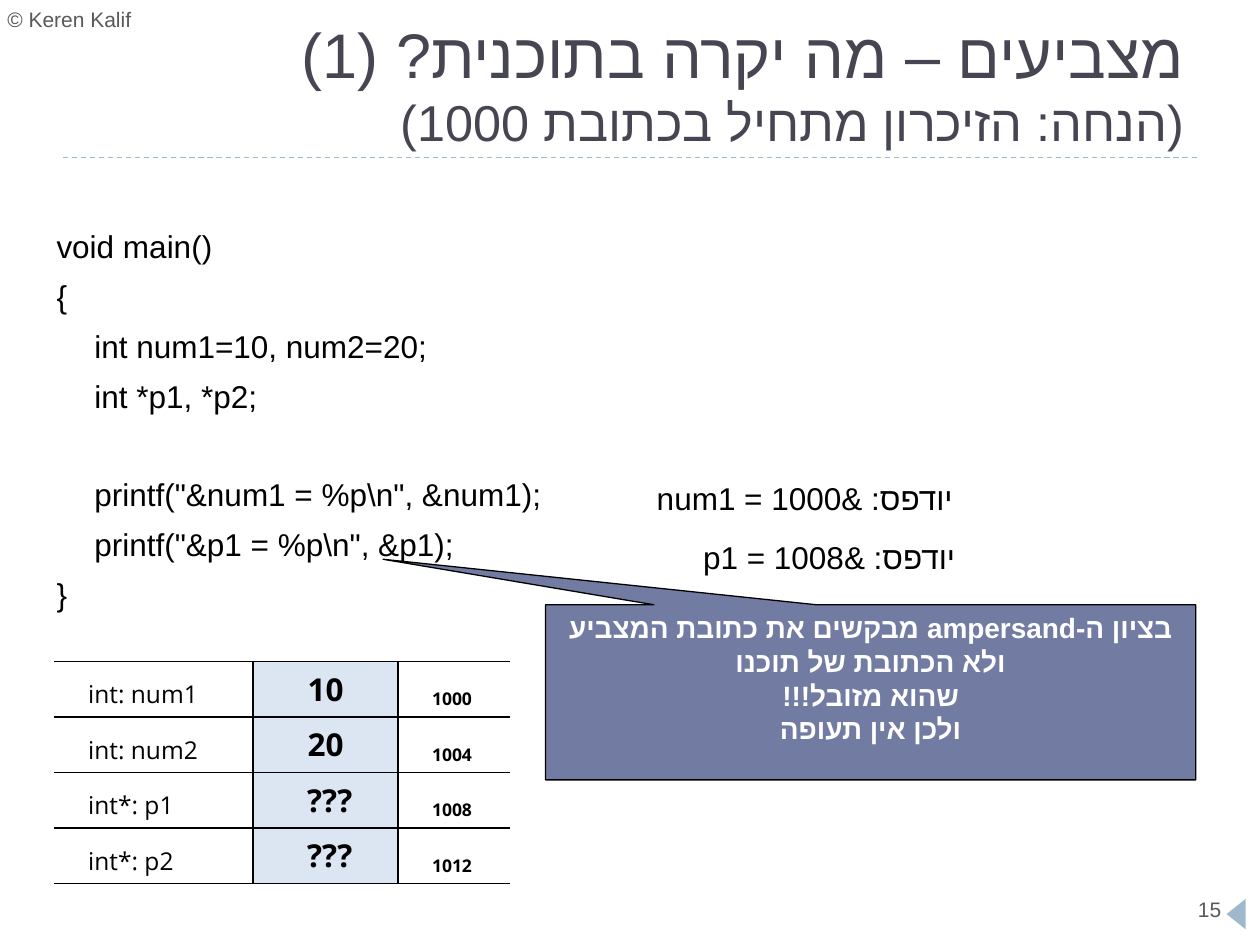
import pptx
import pptx.util
import pptx.dml.color
import pptx.enum.shapes
import pptx.enum.text
import pptx.oxml.ns
import lxml.etree

WIDE, HIGH = 10, 7.5
Pt = pptx.util.Pt
Kind = pptx.enum.shapes.MSO_SHAPE
Side = pptx.enum.text.PP_ALIGN
Hold = pptx.enum.text.MSO_ANCHOR
qn = pptx.oxml.ns.qn


def paint(code):
    return pptx.dml.color.RGBColor.from_string(code)


def across(share):
    """Percent of the slide width."""
    return pptx.util.Inches(WIDE * share / 100)


def down(share):
    """Percent of the slide height."""
    return pptx.util.Inches(HIGH * share / 100)


def place(x, y, w, h):
    return across(x), down(y), across(w), down(h)


def apply(item, form):
    for name, value in form.items():
        setattr(item, name, value)


def style(run, size, color, bold=False, face="Arial"):
    apply(run.font, dict(size=Pt(size), bold=bold, name=face))
    run.font.color.rgb = paint(color)
    props = run._r.get_or_add_rPr()
    for tag in ("a:ea", "a:cs"):
        lxml.etree.SubElement(props, qn(tag), typeface=face)


def write(para, text, size, color="000000", rtl=False, form=None, **look):
    apply(para, form or {})
    if rtl:
        para._p.get_or_add_pPr().set("rtl", "1")
    run = para.add_run()
    run.text = text
    style(run, size, color, **look)


def label(slide, box, text, size, color="000000", wrap=True, **more):
    frame = slide.shapes.add_textbox(*place(*box)).text_frame
    frame.word_wrap = wrap
    write(frame.paragraphs[0], text, size, color, **more)
    return frame


def solid(slide, kind, box, color):
    shape = slide.shapes.add_shape(kind, *place(*box))
    shape.shadow.inherit = False
    shape.fill.solid()
    shape.fill.fore_color.rgb = paint(color)
    shape.line.fill.background()
    return shape


def rule(slide, left, right, y, color):
    line = slide.shapes.add_connector(
        pptx.enum.shapes.MSO_CONNECTOR.STRAIGHT,
        across(left), down(y), across(right), down(y))
    line.line.color.rgb = paint(color)
    line.line.width = Pt(0.75)
    line.line.dash_style = pptx.enum.dml.MSO_LINE.DASH
    lxml.etree.SubElement(line._element.spPr, qn("a:effectLst"))


def border(cell, sides):
    props = cell._tc.get_or_add_tcPr()
    spot = 0
    for side in "LRTB":
        line = lxml.etree.Element(qn("a:ln" + side), w=str(Pt(1)))
        if side in sides:
            fill = lxml.etree.SubElement(line, qn("a:solidFill"))
            lxml.etree.SubElement(fill, qn("a:srgbClr"), val="000000")
        else:
            lxml.etree.SubElement(line, qn("a:noFill"))
        props.insert(spot, line)
        spot += 1


def code(slide, box, lines):
    """Each line is (depth, space before, text)."""
    frame = slide.shapes.add_textbox(*place(*box)).text_frame
    frame.word_wrap = True
    for i, (depth, gap, text) in enumerate(lines):
        para = frame.add_paragraph() if i else frame.paragraphs[0]
        write(para, text, 18, form=dict(space_before=Pt(gap)))
        para._p.get_or_add_pPr().set("marL", str(across(3 * depth)))


def grid(slide, box, cols, rows):
    frame = slide.shapes.add_table(len(rows), len(cols), *place(*box))
    table = frame.table
    apply(table, dict(first_row=False, horz_banding=False))
    for col, width in zip(table.columns, cols):
        col.width = across(width)
    # Text size, bold, anchor, alignment, fill and borders by column
    looks = [(14, False, Hold.BOTTOM, Side.LEFT, None, "TRB"),
             (18, True, Hold.TOP, Side.CENTER, "DCE6F2", "LRTB"),
             (10, True, Hold.BOTTOM, Side.LEFT, None, "LTB")]
    pad = dict(margin_left=across(2.7), margin_right=across(2.7))
    for r, row in enumerate(rows):
        for c, text in enumerate(row):
            size, bold, hold, side, fill, edge = looks[c]
            cell = table.cell(r, c)
            apply(cell, dict(pad, vertical_anchor=hold))
            write(cell.text_frame.paragraphs[0], text, size, bold=bold,
                  face="Open Sans", form=dict(alignment=side))
            if fill:
                cell.fill.solid()
                cell.fill.fore_color.rgb = paint(fill)
            else:
                cell.fill.background()
            border(cell, edge)


def callout(slide, box, tip, lines):
    shape = solid(slide, Kind.RECTANGULAR_CALLOUT, box, "727CA3")
    shape.line.color.rgb = paint("000000")
    shape.line.width = Pt(0.75)
    for i, value in enumerate(tip):
        shape.adjustments[i] = value
    frame = shape.text_frame
    apply(frame, dict(word_wrap=True, vertical_anchor=Hold.TOP))
    for i, text in enumerate(lines):
        para = frame.add_paragraph() if i else frame.paragraphs[0]
        write(para, text, 16, "FFFFFF", rtl=True, bold=True,
              form=dict(alignment=Side.CENTER))


def main():
    deck = pptx.Presentation()
    apply(deck, dict(slide_width=across(100), slide_height=down(100)))
    slide = deck.slides.add_slide(deck.slide_layouts[6])
    right = dict(alignment=Side.RIGHT)

    # Frame of the page
    rule(slide, 5, 95, 16.67, "9FB8CD")
    mark = solid(slide, Kind.ISOSCELES_TRIANGLE, (96.9, 95.73, 2.4, 2),
                 "9FB8CD")
    mark.rotation = 270
    label(slide, (-0.4, 0, 15, 4), "© Keren Kalif", 12, "595959", wrap=False)
    label(slide, (94.1, 94.27, 4.7, 4), "15", 12, "595959", wrap=False)

    # Title
    head = label(slide, (3.5, 2.27, 91.5, 14.4),
                 "מצביעים – מה יקרה בתוכנית? (1) ", 36, "464653",
                 rtl=True, form=right)
    head.vertical_anchor = Hold.BOTTOM
    head.paragraphs[0].add_line_break()
    write(head.paragraphs[0], "(הנחה: הזיכרון מתחיל בכתובת 1000)",
          28.8, "464653")

    # Memory table
    grid(slide, (4.3, 70, 36.2, 23.5), (15.8, 11.5, 8.9),
         [("int: num1", "10", "1000"), ("int: num2", "20", "1004"),
          ("int*: p1", " ???", "1008"), ("int*: p2", " ???", "1012")])

    # Program
    code(slide, (3.5, 23.33, 89.2, 66), [
        (0, 7, "void main()"),
        (0, 7, "{"),
        (1, 7, "int num1=10, num2=20;"),
        (1, 7, "int *p1, *p2;"),
        (1, 34.5, 'printf("&num1 = %p\\n", &num1);'),
        (1, 7, 'printf("&p1 = %p\\n", &p1);'),
        (0, 7, "}")])

    # Printed output
    for box, text in [((50.8, 50, 25.8, 5.33), "יודפס: &num1 = 1000"),
                      ((54.3, 56.27, 22.5, 5.33), "יודפס: &p1 = 1008")]:
        label(slide, box, text, 18, rtl=True, form=right)

    # Remark
    callout(slide, (43.3, 64, 51.6, 18.53), (-0.75, -0.76),
            ["בציון ה-ampersand מבקשים את כתובת המצביע ולא הכתובת של תוכנו",
             "שהוא מזובל!!!", "ולכן אין תעופה"])
    deck.save("out.pptx")


import pptx.enum.dml

main()
